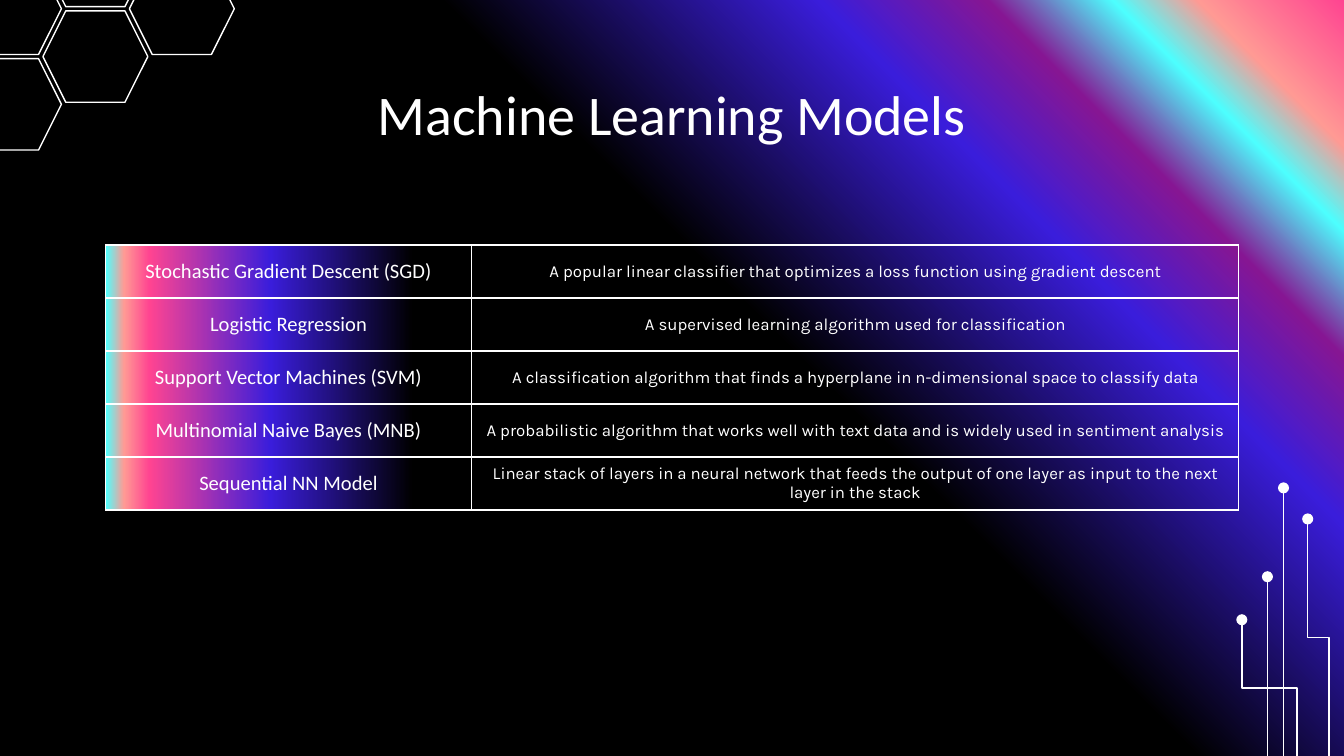
from typing import NamedTuple

from lxml import etree
from pptx import Presentation
from pptx.dml import color
from pptx.enum import shapes, text
from pptx.oxml import ns
from pptx.util import Pt

WHITE = "FFFFFF"
LINE_WIDTH = 0.75
SLIDE_WIDTH, SLIDE_HEIGHT = 720, 405


class Stop(NamedTuple):
    percent: int
    shade: str


class Trace(NamedTuple):
    foot_x: float
    head_x: float
    head_y: float


class Model(NamedTuple):
    name: str
    description: str
    space_after: float = 16


GLOW = [Stop(0, "FF4491"), Stop(7, "FF9A94"), Stop(11, "4DFFFF"), Stop(17, "861693"),
        Stop(25, "3A1DDB"), Stop(43, "000000"), Stop(100, "000000")]
NAME_FADE = [Stop(0, "4DFFFF"), Stop(5, "FF9A94"), Stop(12, "FF4491"),
             Stop(45, "3A1DDB"), Stop(84, "000000"), Stop(100, "000000")]
HONEYCOMB = [(0, -1), (-1, -0.5), (0, 0), (-1, 0.5), (1, -0.5)]
CIRCUIT = [Trace(712, 700.6, 278), Trace(679, 679, 309),
           Trace(687.6, 687.6, 261.4), Trace(694.8, 665.3, 332)]
MODELS = [
    Model("Stochastic Gradient Descent (SGD)",
          "A popular linear classifier that optimizes a loss function using gradient descent"),
    Model("Logistic Regression",
          "A supervised learning algorithm used for classification"),
    Model("Support Vector Machines (SVM)",
          "A classification algorithm that finds a hyperplane in n-dimensional space to classify data"),
    Model("Multinomial Naive Bayes (MNB)",
          "A probabilistic algorithm that works well with text data and is widely used in sentiment analysis"),
    Model("Sequential NN Model",
          "Linear stack of layers in a neural network that feeds the output of one layer "
          "as input to the next layer in the stack", 0),
]


def rgb(shade: str) -> color.RGBColor:
    return color.RGBColor.from_string(shade)


def add_node(parent, tag: str, **attributes):
    node = etree.SubElement(parent, ns.qn(tag))
    for key, value in attributes.items():
        node.set(key, str(value))
    return node


def apply_gradient(fill, holder, stops: list[Stop], from_corner: bool = False) -> None:
    fill.solid()
    solid = holder.find(ns.qn("a:solidFill"))
    gradient = etree.Element(ns.qn("a:gradFill"), rotWithShape="1")
    stop_list = add_node(gradient, "a:gsLst")
    for stop in stops:
        mark = add_node(stop_list, "a:gs", pos=stop.percent * 1000)
        add_node(mark, "a:srgbClr", val=stop.shade)
    if from_corner:
        circle = add_node(gradient, "a:path", path="circle")
        add_node(circle, "a:fillToRect", l=100000, b=100000)
        add_node(gradient, "a:tileRect", t=-100000, r=-100000)
    else:
        add_node(gradient, "a:lin", ang=0, scaled=0)
    holder.replace(solid, gradient)


def style_line(line) -> None:
    line.color.rgb = rgb(WHITE)
    line.width = Pt(LINE_WIDTH)


def write(frame, wording: str, font: str, size: float, space_after: float = 0) -> None:
    frame.text = wording
    paragraph = frame.paragraphs[0]
    paragraph.alignment = text.PP_ALIGN.CENTER
    paragraph.space_after = Pt(space_after)
    for run in paragraph.runs:
        run.font.name = font
        run.font.size = Pt(size)
        run.font.color.rgb = rgb(WHITE)


def draw_hexagon(slide, column: float, row: float) -> None:
    hexagon = slide.shapes.add_shape(
        shapes.MSO_SHAPE.HEXAGON, Pt(23 + 46.3 * column), Pt(5.8 + 51.2 * row), Pt(56.2), Pt(49))
    hexagon.shadow.inherit = False
    hexagon.fill.background()
    style_line(hexagon.line)


def draw_trace(slide, trace: Trace) -> None:
    bent = trace.foot_x != trace.head_x
    if bent:
        center_x = (trace.foot_x + trace.head_x) / 2
        center_y = (SLIDE_HEIGHT + trace.head_y) / 2
        reach = (SLIDE_HEIGHT - trace.head_y) / 2
        jog = (trace.foot_x - trace.head_x) / 2
        kind = shapes.MSO_CONNECTOR.ELBOW
        ends = (center_x + reach, center_y - jog, center_x - reach, center_y + jog)
    else:
        kind = shapes.MSO_CONNECTOR.STRAIGHT
        ends = (trace.foot_x, SLIDE_HEIGHT, trace.head_x, trace.head_y)
    connector = slide.shapes.add_connector(kind, *(Pt(end) for end in ends))
    style_line(connector.line)
    properties = connector.element.spPr
    if bent:
        properties.find(ns.qn("a:xfrm")).set("rot", "5400000")
    add_node(properties.find(ns.qn("a:ln")), "a:tailEnd", type="oval")
    add_node(properties, "a:effectLst")


def draw_title(slide) -> None:
    title = slide.shapes.add_textbox(Pt(56.7), Pt(35.3), Pt(606.6), Pt(45.4))
    frame = title.text_frame
    frame.word_wrap = True
    frame.vertical_anchor = text.MSO_ANCHOR.TOP
    frame.margin_left = frame.margin_right = Pt(7.2)
    frame.margin_top = frame.margin_bottom = Pt(7.2)
    write(frame, "Machine Learning Models", "Calibri", 30)


def style_cell(cell) -> None:
    cell.vertical_anchor = text.MSO_ANCHOR.MIDDLE
    cell.margin_left = cell.margin_right = Pt(7.2)
    cell.margin_top = cell.margin_bottom = Pt(0)
    cell.fill.background()
    properties = cell._tc.get_or_add_tcPr()
    for position, side in enumerate(("L", "R", "T", "B")):
        border = add_node(properties, f"a:ln{side}", w=Pt(LINE_WIDTH))
        add_node(add_node(border, "a:solidFill"), "a:srgbClr", val=WHITE)
        properties.insert(position, border)


def draw_models(slide, models: list[Model]) -> None:
    widths, row_height = (196, 411), 28.4
    table = slide.shapes.add_table(
        len(models), len(widths), Pt(56.6), Pt(131.3),
        Pt(sum(widths)), Pt(row_height * len(models))).table
    table.first_row = table.horz_banding = False
    for column, width in zip(table.columns, widths):
        column.width = Pt(width)
    for row, model in zip(table.rows, models):
        row.height = Pt(row_height)
        name, description = row.cells
        for cell in (name, description):
            style_cell(cell)
        apply_gradient(name.fill, name._tc.tcPr, NAME_FADE)
        write(name.text_frame, model.name, "Calibri", 11)
        write(description.text_frame, model.description, "Karla", 9, model.space_after)


def main() -> None:
    deck = Presentation()
    deck.slide_width, deck.slide_height = Pt(SLIDE_WIDTH), Pt(SLIDE_HEIGHT)
    slide = deck.slides.add_slide(deck.slide_layouts[6])
    backdrop = slide.background.fill
    backdrop.solid()
    apply_gradient(backdrop, slide.element.find(f".//{ns.qn('p:bgPr')}"), GLOW, from_corner=True)
    for column, row in HONEYCOMB:
        draw_hexagon(slide, column, row)
    for trace in CIRCUIT:
        draw_trace(slide, trace)
    draw_title(slide)
    draw_models(slide, MODELS)
    deck.save("out.pptx")


if __name__ == "__main__":
    main()
